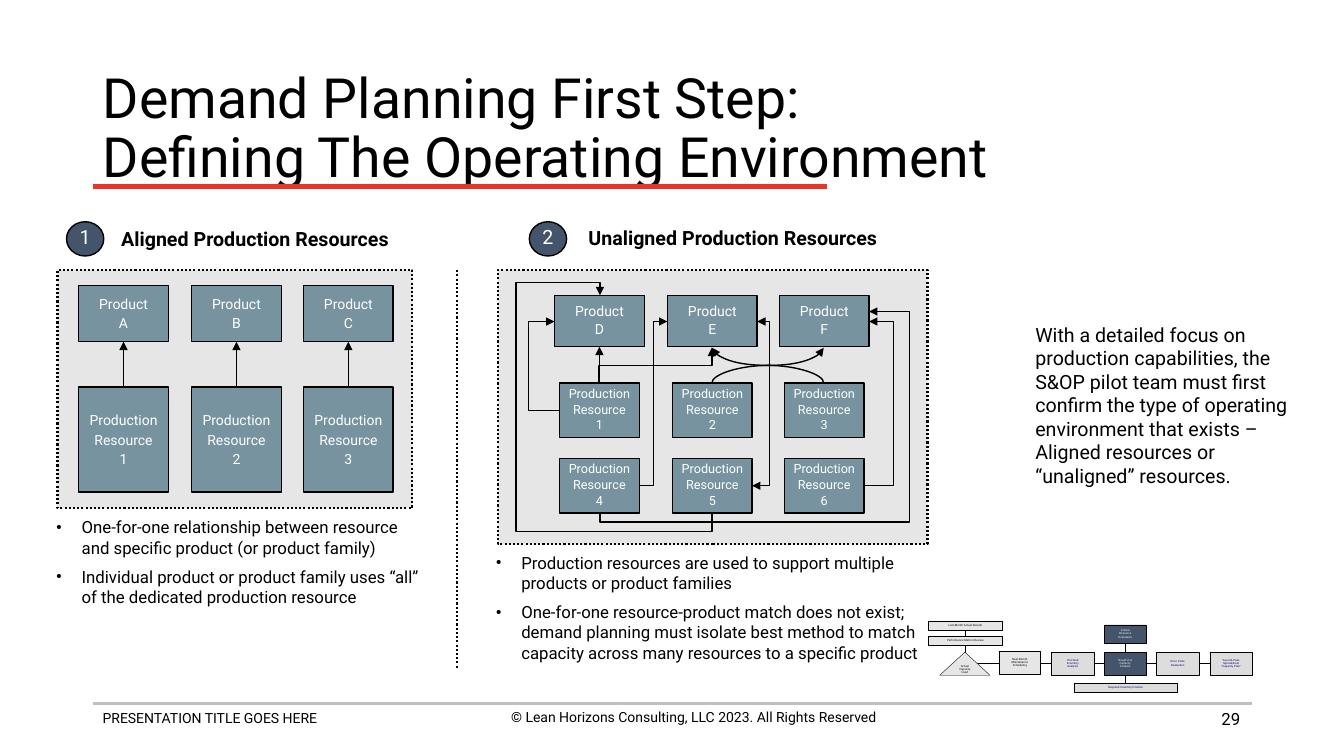
from lxml import etree
from pptx import Presentation
from pptx import util as u
from pptx.dml.color import RGBColor
from pptx.enum import dml, shapes, text
from pptx.oxml.ns import qn

BLACK, WHITE, NAVY = "000000", "FFFFFF", "44546A"
STEEL, PALE, GREY, BLUE = "76939F", "E7E6E6", "DDDDDD", "000066"
LEFT, MID, RIGHT = text.PP_ALIGN.LEFT, text.PP_ALIGN.CENTER, text.PP_ALIGN.RIGHT
TOP, CENTER = text.MSO_ANCHOR.TOP, text.MSO_ANCHOR.MIDDLE
KIND, FORM = shapes.MSO_CONNECTOR, shapes.MSO_SHAPE
COLS = (0, 1.12, 2.23)


def color(code):
    return RGBColor.from_string(code)


def inches(nums):
    return [u.Inches(n) for n in nums]


def write(frame, lines, size=10, ink=BLACK, font="Roboto", bold=False, align=LEFT,
          anchor=TOP, wrap=True, pad=(0.1, 0.05), lead=1.0, gap=0.0, mark=None):
    """Fill a text frame, one paragraph a line; gap is a share of the text size."""
    frame.word_wrap = wrap
    frame.auto_size = text.MSO_AUTO_SIZE.NONE
    frame.vertical_anchor = anchor
    frame.margin_left = frame.margin_right = u.Inches(pad[0])
    frame.margin_top = frame.margin_bottom = u.Inches(pad[1])
    for i, line in enumerate(lines):
        para = frame.add_paragraph() if i else frame.paragraphs[0]
        para.text = line
        if mark:
            props = para._p.get_or_add_pPr()
            props.set("marL", str(u.Inches(0.25)))
            props.set("indent", str(-u.Inches(0.25)))
            etree.SubElement(props, qn("a:buSzPct"), val="90000")
            etree.SubElement(props, qn("a:buChar"), char=mark)
        para.alignment = align
        para.line_spacing = lead
        para.space_before = u.Pt(round(gap * size, 1) if i else 0)
        for run in para.runs:
            run.font.size = u.Pt(size)
            run.font.name = font
            run.font.bold = bold
            run.font.color.rgb = color(ink)
        for brk in para._p.findall(qn("a:br")):
            etree.SubElement(brk, qn("a:rPr"), sz=str(round(size * 100)))


class Board:
    def __init__(self, slide):
        self.slide = slide
        self.shapes = slide.shapes

    def holder(self, idx, at, lines, **look):
        item = self.slide.placeholders[idx]
        item.left, item.top, item.width, item.height = inches(at)
        write(item.text_frame, lines, **look)

    def label(self, at, lines, **look):
        write(self.shapes.add_textbox(*inches(at)).text_frame, lines, **look)

    def stroke(self, line, ink, width, dots):
        line.color.rgb = color(ink)
        line.width = u.Pt(width)
        if dots:
            line.dash_style = dml.MSO_LINE.ROUND_DOT

    def box(self, at, lines=(), fill=STEEL, form=FORM.RECTANGLE, width=1, dots=False,
            **look):
        item = self.shapes.add_shape(form, *inches(at))
        item.shadow.inherit = False
        item.fill.solid()
        item.fill.fore_color.rgb = color(fill)
        self.stroke(item.line, BLACK, width, dots)
        look = {"ink": WHITE, "gap": 0.22, **look}
        write(item.text_frame, lines, align=MID, anchor=CENTER, wrap=False,
              pad=(0, 0), **look)
        return item

    def line(self, start, end, ink=BLACK, width=1, dots=False, ends=(), kind=KIND.STRAIGHT):
        item = self.shapes.add_connector(kind, *inches((*start, *end)))
        self.stroke(item.line, ink, width, dots)
        for tip in ends:
            etree.SubElement(item.line._get_or_add_ln(), qn(f"a:{tip}End"), type="triangle")
        etree.SubElement(item._element.spPr, qn("a:effectLst"))
        return item

    def rise(self, low, high):
        """Join the top of one box to the bottom of the box above it."""
        item = self.line((0, 0), (1, 1), ends=["tail"])
        item.begin_connect(low, 0)
        item.end_connect(high, 2)

    def bend(self, start, end, adjs, up=False, ends=("tail",), kind=KIND.ELBOW):
        """Draw a bent connector that sets off sideways, or upward if up is set."""
        if up:
            (x1, y1), (x2, y2) = start, end
            midx, midy = (x1 + x2) / 2, (y1 + y2) / 2
            wide, tall = (y1 - y2) / 2, (x2 - x1) / 2
            start, end = (midx - wide, midy - tall), (midx + wide, midy + tall)
        item = self.line(start, end, ends=ends, kind=kind)
        props = item._element.spPr
        if up:
            props.find(qn("a:xfrm")).set("rot", str(270 * 60000))
        geom = props.find(qn("a:prstGeom"))
        geom.set("prst", geom.get("prst")[:-1] + str(len(adjs) + 2))
        for i, adj in enumerate(adjs, 1):
            etree.SubElement(geom.find(qn("a:avLst")), qn("a:gd"), name=f"adj{i}",
                             fmla=f"val {round(adj * 100000)}")


def frame(board):
    board.line((0.92, 6.98), (12.42, 6.98), "BFBFBF", 2)
    board.label((0.92, 6.99, 4.56, 0.44), ["PRESENTATION TITLE GOES HERE"])
    board.label((4.6, 6.98, 4.56, 0.44),
                ["© Lean Horizons Consulting, LLC 2023. All Rights Reserved"], align=MID)
    board.label((9.4, 6.93, 3, 0.4), ["29"], size=12, align=RIGHT, anchor=CENTER)
    board.line((0.92, 1.85), (8.2, 1.85), "EE3228", 3)
    board.holder(0, (0.92, 0.74, 11.5, 1.1),
                 ["Demand Planning First Step:\vDefining The Operating Environment"],
                 size=39.6, anchor=CENTER, lead=0.9)
    board.label((10.17, 3.15, 3.01, 1.75), [
        "With a detailed focus on production capabilities, the S&OP pilot team must first "
        "confirm the type of operating environment that exists – Aligned resources or "
        "“unaligned” resources."], size=14)


def heads(board):
    for num, x, at, name in (("1", 0.66, (1.09, 2.25, 2.88, 0.29), "Aligned"),
                             ("2", 5.25, (5.72, 2.24, 3.1, 0.29), "Unaligned")):
        board.box((x, 2.2, 0.37, 0.34), [num], NAVY, FORM.OVAL, size=14, lead=0.8)
        board.label(at, [f"{name} Production Resources"], size=14, bold=True,
                    align=MID, wrap=False, lead=0.8)
    look = dict(size=12, pad=(0.08, 0.04), gap=0.55, mark="•")
    board.holder(1, (0.48, 5.09, 3.84, 1), [
        "One-for-one relationship between resource and specific product (or product family)",
        "Individual product or product family uses “all” of the dedicated production "
        "resource"], **look)
    board.holder(2, (4.84, 5.44, 4.68, 1.2), [
        "Production resources are used to support multiple products or product families",
        "One-for-one resource-product match does not exist; demand planning must isolate "
        "best method to match capacity across many resources to a specific product"], **look)
    board.line((4.53, 2.68), (4.53, 6.63), width=1.5, dots=True)


def row(board, x, y, wide, tall, words, tags, **look):
    return [board.box((x + dx, y, wide, tall), [*words, tag], **look)
            for dx, tag in zip(COLS, tags)]


def aligned(board):
    board.box((0.57, 2.68, 3.52, 2.36), fill=PALE, width=1.5, dots=True)
    goods = row(board, 0.78, 2.83, 0.89, 0.56, ["Product"], "ABC")
    means = row(board, 0.78, 3.84, 0.89, 1.04, ["Production", "Resource"], "123")
    for low, high in zip(means, goods):
        board.rise(low, high)


def unaligned(board):
    board.box((4.94, 2.68, 4.26, 2.72), fill=PALE, width=1.5, dots=True)
    board.bend((5.95, 4.99), (8.62, 3.09), [-0.1, 1.15], up=True)
    goods = row(board, 5.5, 2.93, 0.89, 0.51, ["Product"], "DEF", lead=0.85)
    means = [row(board, 5.55, y, 0.79, 0.54, ["Production", "Resource"], tags,
                 size=9, lead=0.85) for y, tags in ((3.8, "123"), (4.55, "456"))]
    board.rise(means[0][0], goods[0])
    board.bend((5.94, 3.8), (7.06, 3.45), [0.5], up=True)
    board.bend((6.34, 4.82), (6.62, 3.19), [0.5])
    board.bend((8.57, 4.82), (8.62, 3.19), [5.8])
    board.bend((7.46, 4.82), (7.51, 3.19), [3.4], ends=("head", "tail"))
    for x1, x2 in ((7.06, 8.17), (8.17, 7.06)):
        board.bend((x1, 3.8), (x2, 3.45), [0.5], up=True, kind=KIND.CURVE)
    board.bend((5.55, 4.07), (5.5, 3.19), [6.14])
    board.bend((7.06, 5.08), (5.95, 2.93), [-0.09, 1.75, 1.06], up=True)


def flow(board):
    """Draw the small process map at the lower right."""
    for start, end in (((11.16, 6.28), (11.16, 6.82)), ((9.66, 6.58), (12.15, 6.58)),
                       ((9.57, 6.19), (9.57, 6.49))):
        board.line(start, end, width=0.25)
    rect, peak = FORM.RECTANGLE, FORM.ISOSCELES_TRIANGLE
    for at, words, fill, ink, font, form in (
        ((9.91, 6.46, 0.41, 0.23), "Next-Month|Maintenance|Scheduling",
         PALE, BLACK, "Roboto", rect),
        ((10.43, 6.47, 0.42, 0.23), "On-Hand|Inventory|Analysis", GREY, BLUE, "Roboto", rect),
        ((10.95, 6.47, 0.42, 0.23), "Rough-Cut|Capacity|Analysis", NAVY, WHITE, "Arial", rect),
        ((11.47, 6.47, 0.42, 0.23), "Error Code|Evaluation", GREY, BLUE, "Arial", rect),
        ((9.32, 6.47, 0.5, 0.23), "Actual|Capacity|Used", PALE, BLACK, "Roboto", peak),
        ((12, 6.47, 0.42, 0.23), "Second-Pass|Spreadsheet|“Capacity Plan”",
         GREY, BLUE, "Arial", rect),
        ((10.95, 6.2, 0.42, 0.18), "Critical|Resource|Evaluation",
         NAVY, WHITE, "Arial", rect),
        ((9.21, 6.16, 0.73, 0.09), "Last-Month Actual Results", PALE, BLACK, "Roboto", rect),
        ((9.21, 6.31, 0.73, 0.09), "Performance Metrics Review", PALE, BLACK, "Roboto", rect),
        ((10.65, 6.78, 1.03, 0.09), "Required Inventory Position",
         GREY, BLUE, "Roboto", rect),
    ):
        board.box(at, words.split("|"), fill, form, 0.25, size=2, ink=ink, font=font, lead=0.8)


def main():
    deck = Presentation()
    deck.slide_width, deck.slide_height = inches((13.33, 7.5))
    board = Board(deck.slides.add_slide(deck.slide_layouts[3]))
    for part in (frame, aligned, unaligned, heads, flow):
        part(board)
    deck.save("out.pptx")


if __name__ == "__main__":
    main()
